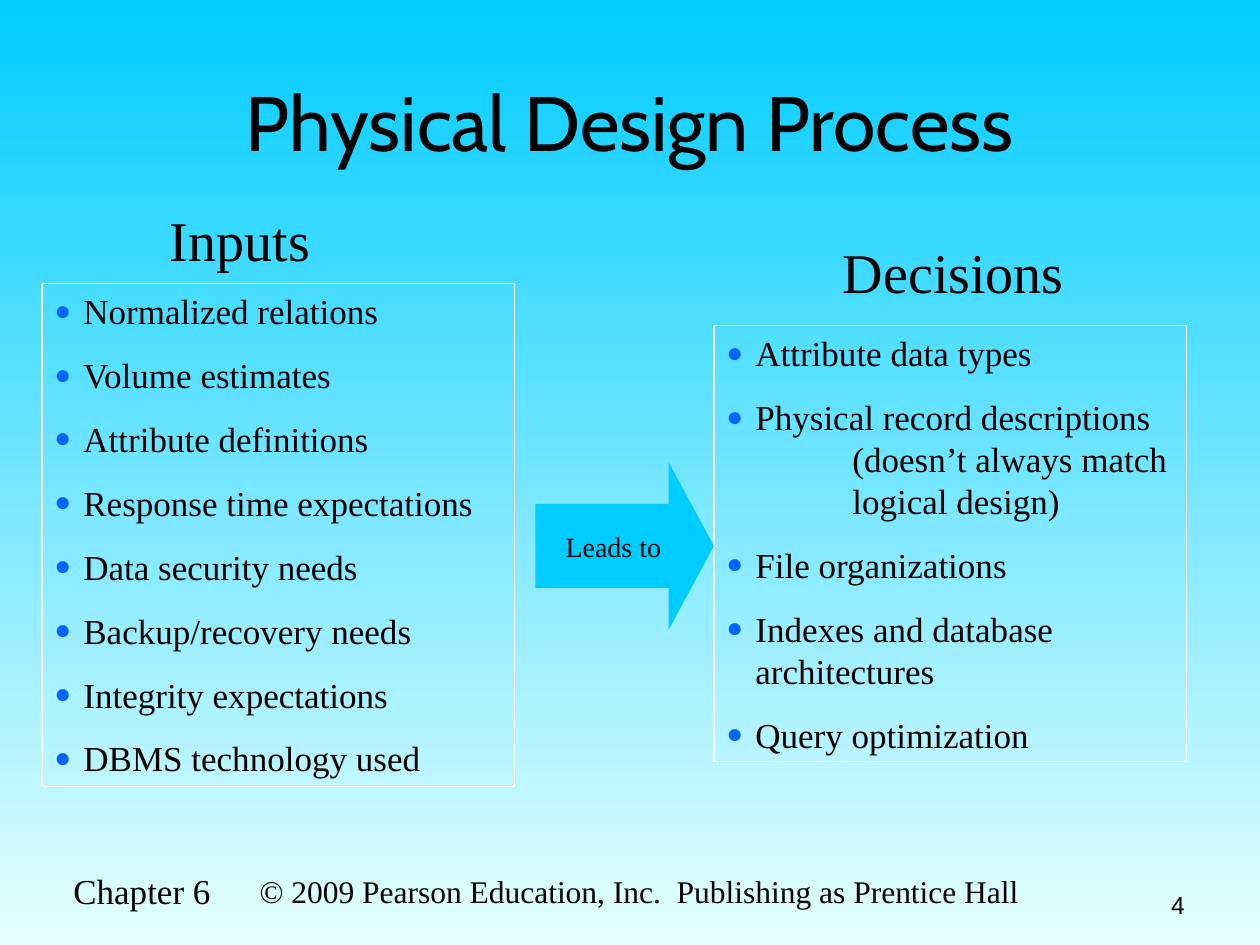
from dataclasses import dataclass

from lxml import etree
from pptx import Presentation
from pptx import util as u
from pptx.dml.color import RGBColor
from pptx.enum import shapes, text
from pptx.oxml.ns import qn


@dataclass(frozen=True)
class Theme:
    ink: str = "000000"
    sky: str = "00CCFF"
    mist: str = "E5FFFF"
    border: str = "FFFFFF"
    bullet: str = "0066FF"
    serif: str = "Times New Roman"
    sans: str = "Arial"
    display: str = "Cabin"
    title: int = 44
    heading: int = 32
    body: int = 20
    copyright: int = 18
    arrow: int = 16
    number: int = 14


THEME = Theme()
COLUMNS, ROWS = 120, 90
WIDTH, HEIGHT = u.Inches(10), u.Inches(7.5)
INDENT, TAB = u.Inches(0.23), u.Inches(1)

INPUTS = [
    "Normalized relations",
    "Volume estimates",
    "Attribute definitions",
    "Response time expectations",
    "Data security needs",
    "Backup/recovery needs",
    "Integrity expectations",
    "DBMS technology used",
]
DECISIONS = [
    "Attribute data types",
    "Physical record descriptions\v\t(doesn’t always match\v\tlogical design)",
    "File organizations",
    "Indexes and database architectures",
    "Query optimization",
]


def grid(column, row, columns, rows):
    return (
        round(WIDTH * column / COLUMNS),
        round(HEIGHT * row / ROWS),
        round(WIDTH * columns / COLUMNS),
        round(HEIGHT * rows / ROWS),
    )


def apply(target, values):
    for name, value in values.items():
        setattr(target, name, value)


def format_paragraph(paragraph, size, font=THEME.serif, align=text.PP_ALIGN.LEFT):
    paragraph.alignment = align
    apply(paragraph.font, {"size": u.Pt(size), "name": font})
    paragraph.font.color.rgb = RGBColor.from_string(THEME.ink)


def add_bullet(paragraph):
    properties = paragraph._p.get_or_add_pPr()
    properties.set("marL", str(INDENT))
    properties.set("indent", str(-INDENT))
    color = etree.SubElement(properties, qn("a:buClr"))
    etree.SubElement(color, qn("a:srgbClr"), val=THEME.bullet)
    etree.SubElement(properties, qn("a:buSzPct"), val="80000")
    etree.SubElement(properties, qn("a:buFont"), typeface=THEME.serif)
    etree.SubElement(properties, qn("a:buChar"), char="●")
    tabs = etree.SubElement(properties, qn("a:tabLst"))
    etree.SubElement(tabs, qn("a:tab"), pos=str(TAB), algn="l")


def add_background(slide):
    fill = slide.background.fill
    fill.gradient()
    fill.gradient_angle = 270
    for stop, position, color in zip(fill.gradient_stops, (0, 1), (THEME.sky, THEME.mist)):
        stop.position = position
        stop.color.rgb = RGBColor.from_string(color)


def add_title(slide, wording):
    title = slide.shapes.title
    apply(title, dict(zip(("left", "top", "width", "height"), grid(9, 4, 102, 15))))
    title.text_frame.text = wording
    title.text_frame.vertical_anchor = text.MSO_ANCHOR.MIDDLE
    format_paragraph(title.text_frame.paragraphs[0], THEME.title, THEME.display, text.PP_ALIGN.CENTER)


def add_label(slide, wording, place, size, wrap=False, anchor=text.MSO_ANCHOR.TOP, **style):
    frame = slide.shapes.add_textbox(*grid(*place)).text_frame
    frame.text = wording
    apply(frame, {"word_wrap": wrap, "vertical_anchor": anchor})
    format_paragraph(frame.paragraphs[0], size, **style)


def add_list(slide, items, place):
    shape = slide.shapes.add_shape(shapes.MSO_SHAPE.RECTANGLE, *grid(*place))
    shape.shadow.inherit = False
    shape.fill.background()
    shape.line.color.rgb = RGBColor.from_string(THEME.border)
    shape.line.width = u.Pt(0.75)
    frame = shape.text_frame
    apply(frame, {"word_wrap": True, "vertical_anchor": text.MSO_ANCHOR.TOP})
    for index, item in enumerate(items):
        paragraph = frame.add_paragraph() if index else frame.paragraphs[0]
        paragraph.text = item
        add_bullet(paragraph)
        format_paragraph(paragraph, THEME.body)
        paragraph.space_before = u.Pt(12.5 if index else 0)


def add_arrow(slide, wording, place):
    shape = slide.shapes.add_shape(shapes.MSO_SHAPE.RIGHT_ARROW, *grid(*place))
    shape.adjustments[1] = 0.27
    shape.shadow.inherit = False
    shape.fill.solid()
    shape.fill.fore_color.rgb = RGBColor.from_string(THEME.sky)
    shape.line.fill.background()
    frame = shape.text_frame
    frame.text = wording
    apply(frame, {"word_wrap": False, "vertical_anchor": text.MSO_ANCHOR.MIDDLE})
    format_paragraph(frame.paragraphs[0], THEME.arrow, align=text.PP_ALIGN.CENTER)


def add_footer(slide):
    add_label(slide, "Chapter 6", (5.8, 82.2, 15.5, 5.3), THEME.body)
    bottom = {"wrap": True, "anchor": text.MSO_ANCHOR.BOTTOM}
    add_label(slide, "© 2009 Pearson Education, Inc.  Publishing as Prentice Hall",
              (19, 81, 83.8, 6.2), THEME.copyright, align=text.PP_ALIGN.CENTER, **bottom)
    add_label(slide, "4", (86, 82, 28, 6.2), THEME.number,
              font=THEME.sans, align=text.PP_ALIGN.RIGHT, **bottom)


def main():
    presentation = Presentation()
    apply(presentation, {"slide_width": WIDTH, "slide_height": HEIGHT})
    slide = presentation.slides.add_slide(presentation.slide_layouts[5])
    add_background(slide)
    add_footer(slide)
    add_title(slide, "Physical Design Process")
    add_list(slide, INPUTS, (4, 27, 45, 47.9))
    add_label(slide, "Inputs", (15, 19, 16, 7.7), THEME.heading)
    add_list(slide, DECISIONS, (68, 31, 45, 41.5))
    add_arrow(slide, "Leads to", (51, 44, 17, 16))
    add_label(slide, "Decisions", (79.1, 22, 24.5, 7.7), THEME.heading)
    presentation.save("out.pptx")


if __name__ == "__main__":
    main()
